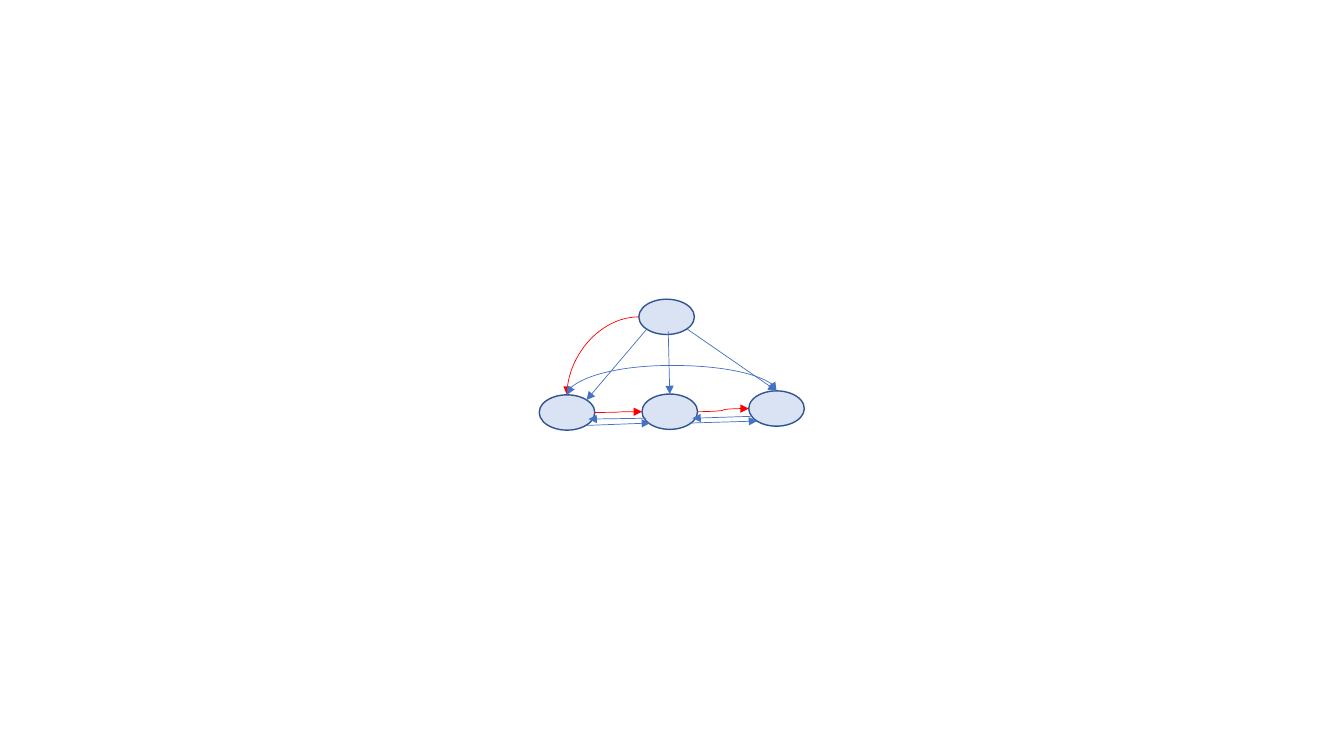
from lxml import etree
from pptx import Presentation
from pptx.dml.color import RGBColor
from pptx.enum.shapes import MSO_CONNECTOR, MSO_SHAPE
from pptx.oxml.ns import qn
from pptx.util import Cm, Pt

OVAL = MSO_SHAPE.OVAL
LINE = MSO_CONNECTOR.STRAIGHT
CURVE = MSO_CONNECTOR.CURVE
BLUE, RED, NAVY, PALE = "4472C4", "FF0000", "325491", "DAE3F3"
WIDE, HIGH = 1.4, 0.89


def color(code):
    return RGBColor.from_string(code)


def add_node(group, x, y):
    node = group.shapes.add_shape(OVAL, Cm(x), Cm(y), Cm(WIDE), Cm(HIGH))
    node.shadow.inherit = False
    node.fill.solid()
    node.fill.fore_color.rgb = color(PALE)
    node.line.color.rgb = color(NAVY)
    node.line.width = Pt(1)
    return node


def add_arrow(group, start, end, code=BLUE, kind=LINE, tips=("tailEnd",)):
    ends = [Cm(v) for v in (*start, *end)]
    arrow = group.shapes.add_connector(kind, *ends)
    arrow.line.color.rgb = color(code)
    arrow.line.width = Pt(0.5)
    props = arrow._element.spPr
    for tip in tips:
        etree.SubElement(props.find(qn("a:ln")), qn("a:" + tip), type="triangle")
    etree.SubElement(props, qn("a:effectLst"))
    return arrow


def add_arc(group, start, end, rise):
    mid_x, mid_y = [(a + b) / 2 for a, b in zip(start, end)]
    span, drop = end[0] - start[0], start[1] - end[1]
    arc = add_arrow(
        group,
        (mid_x + drop / 2, mid_y + span / 2),
        (mid_x - drop / 2, mid_y - span / 2),
        kind=CURVE,
        tips=("headEnd", "tailEnd"),
    )
    props = arc._element.spPr
    props.find(qn("a:xfrm")).set("rot", "5400000")
    guides = props.find(qn("a:prstGeom")).get_or_add_avLst()
    bend = round(rise / drop * 100000)
    etree.SubElement(guides, qn("a:gd"), name="adj1", fmla=f"val {bend}")


def add_graph(slide, left, top):
    group = slide.shapes.add_group_shape()

    def at(x, y):
        return left + x, top + y

    def side(spot, across, down):
        return spot[0] + WIDE * across, spot[1] + HIGH * down

    spots = [at(2.51, 0), at(0, 2.41), at(2.59, 2.39), at(5.28, 2.31)]
    root, first, second, third = spots
    nodes = [add_node(group, *spot) for spot in spots]

    add_arrow(group, at(2.72, 0.74), at(1.19, 2.54))
    for start, goal in ((at(3.25, 0.81), 2), (at(3.71, 0.74), 3)):
        arrow = add_arrow(group, start, side(spots[goal], 0.5, 0))
        arrow.end_connect(nodes[goal], 0)

    bow = add_arrow(group, side(root, 0, 0.5), side(first, 0.5, 0), RED, CURVE)
    bow._element.spPr.find(qn("a:prstGeom")).set("prst", "curvedConnector2")
    for here, there in ((first, second), (second, third)):
        add_arrow(group, side(here, 1, 0.5), side(there, 0, 0.5), RED, CURVE)

    for start, end, tip in (
        ((1.19, 3.18), (2.79, 3.12), "tailEnd"),
        ((1.24, 3.02), (2.69, 3), "headEnd"),
        ((3.78, 3.12), (5.49, 3.07), "tailEnd"),
        ((3.86, 3), (5.36, 2.95), "headEnd"),
    ):
        add_arrow(group, at(*start), at(*end), tips=(tip,))

    add_arc(group, side(first, 0.5, 0), side(third, 0.5, 0), 0.74)


def main():
    deck = Presentation()
    deck.slide_width, deck.slide_height = Cm(33.87), Cm(19.05)
    slide = deck.slides.add_slide(deck.slide_layouts[6])
    add_graph(slide, 13.59, 7.54)
    deck.save("out.pptx")


if __name__ == "__main__":
    main()
